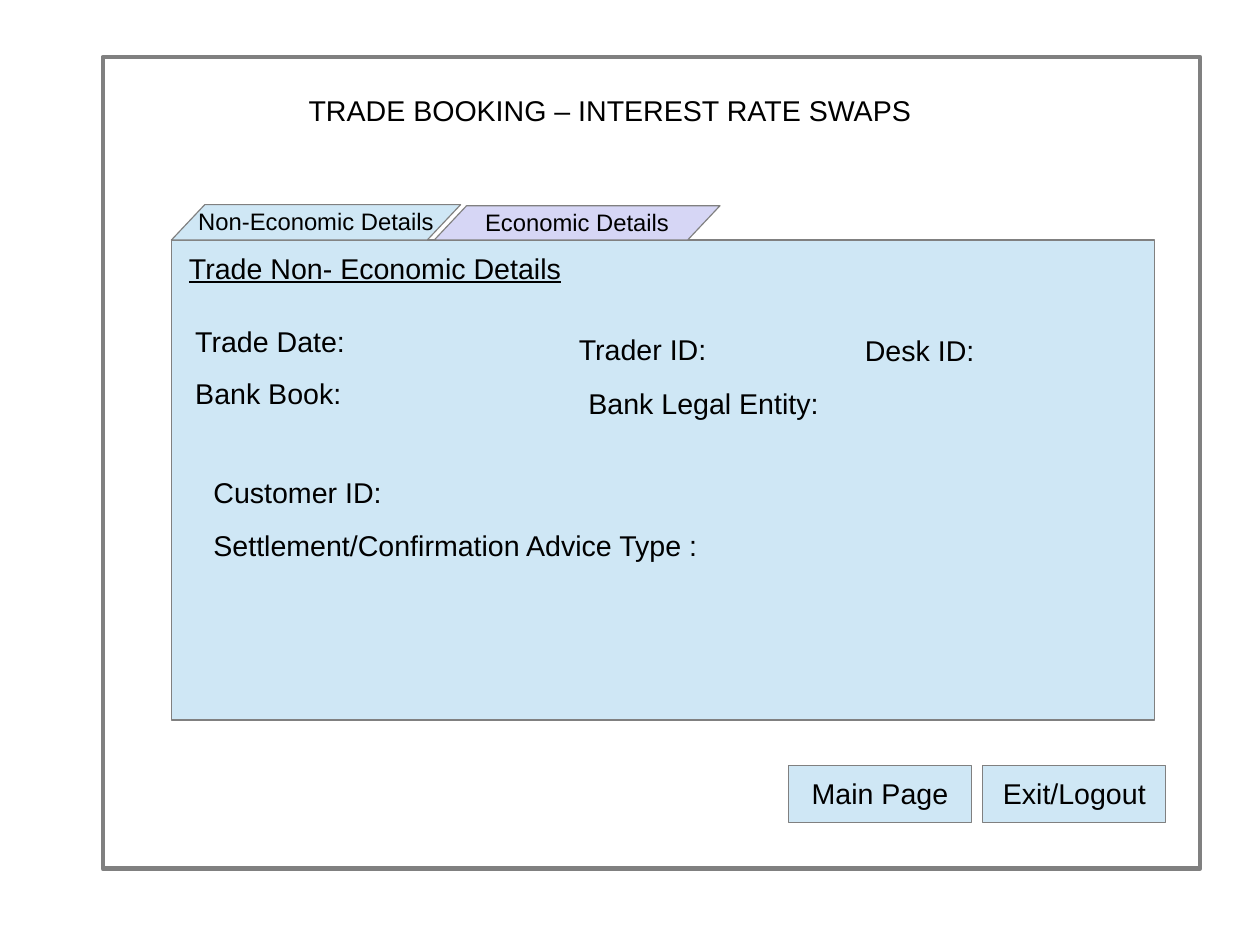
from dataclasses import dataclass

from pptx import Presentation
from pptx.dml.color import RGBColor
from pptx.enum.shapes import MSO_SHAPE
from pptx.enum.text import MSO_ANCHOR, MSO_AUTO_SIZE, PP_ALIGN
from pptx.util import Pt

RECTANGLE, PARALLELOGRAM = MSO_SHAPE.RECTANGLE, MSO_SHAPE.PARALLELOGRAM
TOP, MIDDLE = MSO_ANCHOR.TOP, MSO_ANCHOR.MIDDLE
LEFT, CENTER = PP_ALIGN.LEFT, PP_ALIGN.CENTER
NO_FIT, GROW = MSO_AUTO_SIZE.NONE, MSO_AUTO_SIZE.SHAPE_TO_FIT_TEXT


@dataclass(frozen=True)
class Theme:
    font: str = "Arial"
    text: RGBColor = RGBColor(0, 0, 0)
    outline: RGBColor = RGBColor(0x80, 0x80, 0x80)
    active: RGBColor = RGBColor(0xCF, 0xE7, 0xF5)
    inactive: RGBColor = RGBColor(0xD6, 0xD6, 0xF5)
    body_size: float = 18
    tab_size: float = 15
    thin: float = 0.75
    thick: float = 2.89


THEME = Theme()


def write(shape, text, size=THEME.body_size, align=LEFT, anchor=TOP, spacing=0.93,
          inset=3.6, wrap=True, fit=NO_FIT, underline=None):
    frame = shape.text_frame
    frame.auto_size = fit
    frame.word_wrap = wrap
    frame.vertical_anchor = anchor
    frame.margin_left = frame.margin_right = Pt(7.2)
    frame.margin_top, frame.margin_bottom = Pt(inset), Pt(3.6)
    paragraph = frame.paragraphs[0]
    paragraph.alignment = align
    paragraph.line_spacing = spacing
    run = paragraph.add_run()
    run.text = text
    run.font.name = THEME.font
    run.font.size = Pt(size)
    run.font.color.rgb = THEME.text
    run.font.underline = underline


def add_block(slide, kind, box, fill=None, line_width=THEME.thin):
    shape = slide.shapes.add_shape(kind, *map(Pt, box))
    shape.shadow.inherit = False
    if fill is None:
        shape.fill.background()
    else:
        shape.fill.solid()
        shape.fill.fore_color.rgb = fill
    shape.line.color.rgb = THEME.outline
    shape.line.width = Pt(line_width)
    return shape


def add_title(slide, box):
    title = slide.shapes.title
    title.left, title.top, title.width, title.height = map(Pt, box)
    write(title, "TRADE BOOKING – INTEREST RATE SWAPS", spacing=0.83, inset=4.7)


def add_tabs(slide, left, bottom):
    tabs = [
        ("Non-Economic Details", 0, 182.2, 22.3, THEME.active),
        ("Economic Details", 165.6, 180, 21.6, THEME.inactive),
    ]
    for text, offset, width, height, fill in tabs:
        box = (left + offset, bottom - height, width, height)
        tab = add_block(slide, PARALLELOGRAM, box, fill)
        tab.adjustments[0] = 0.943
        write(tab, text, THEME.tab_size, CENTER, MIDDLE, inset=4.3, wrap=False)


def add_details(slide, box):
    left, top, width, height = box
    add_block(slide, RECTANGLE, box, THEME.active)
    add_tabs(slide, left, top)
    line_height = 27.4
    heading = slide.shapes.add_textbox(
        Pt(left + 4), Pt(top + 5.5), Pt(403.2), Pt(line_height))
    write(heading, "Trade Non- Economic Details", spacing=0.83, inset=4.7, underline=True)
    fields = [
        ("Trade Date:", 7.9, 51.1, 109.4),
        ("Trader ID:", 249.6, 56.2, 95.4),
        ("Desk ID:", 429.8, 56.9, 83.5),
        ("Bank Book:", 7.9, 84.2, 106.6),
        ("Bank Legal Entity:", 255.6, 90, 161),
        ("Customer ID:", 19.4, 146.2, 120.2),
        ("Settlement/Confirmation Advice Type :", 19.4, 180, 321.1),
    ]
    for text, across, down, field_width in fields:
        field = slide.shapes.add_textbox(
            Pt(left + across), Pt(top + down), Pt(field_width), Pt(line_height))
        write(field, text, wrap=False, fit=GROW)


def add_buttons(slide, box):
    left, top, width, height = box
    gap = 7.2
    button_width = (width - gap) / 2
    for index, text in enumerate(["Main Page", "Exit/Logout"]):
        place = (left + index * (button_width + gap), top, button_width, height)
        button = add_block(slide, RECTANGLE, place, THEME.active)
        write(button, text, align=CENTER, anchor=MIDDLE, inset=4.7)


def add_booking_screen(slide, box):
    left, top, width, height = box
    add_block(slide, RECTANGLE, box, line_width=THEME.thick)
    add_title(slide, (left + 122.4, top + 21.3, 403.2, 27.4))
    add_details(slide, (left + 43.2, top + 115.2, 619.2, 302.4))
    add_buttons(slide, (left + 432, top + 446.2, 237.6, 36))


def main():
    presentation = Presentation()
    presentation.slide_width, presentation.slide_height = Pt(793.75), Pt(595.25)
    slide = presentation.slides.add_slide(presentation.slide_layouts[5])
    add_booking_screen(slide, (64.8, 36, 691.2, 511.2))
    presentation.save("out.pptx")


if __name__ == "__main__":
    main()
